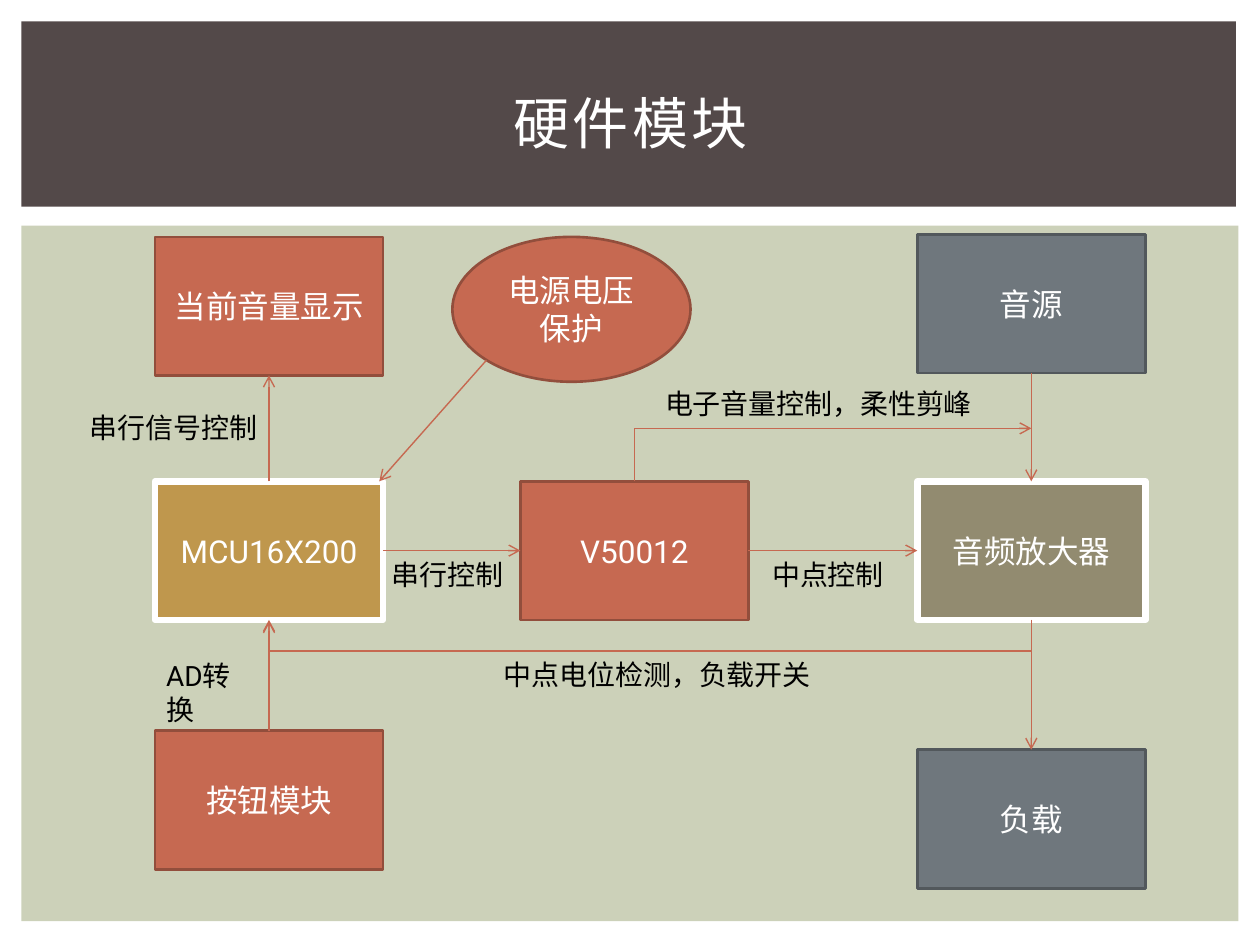
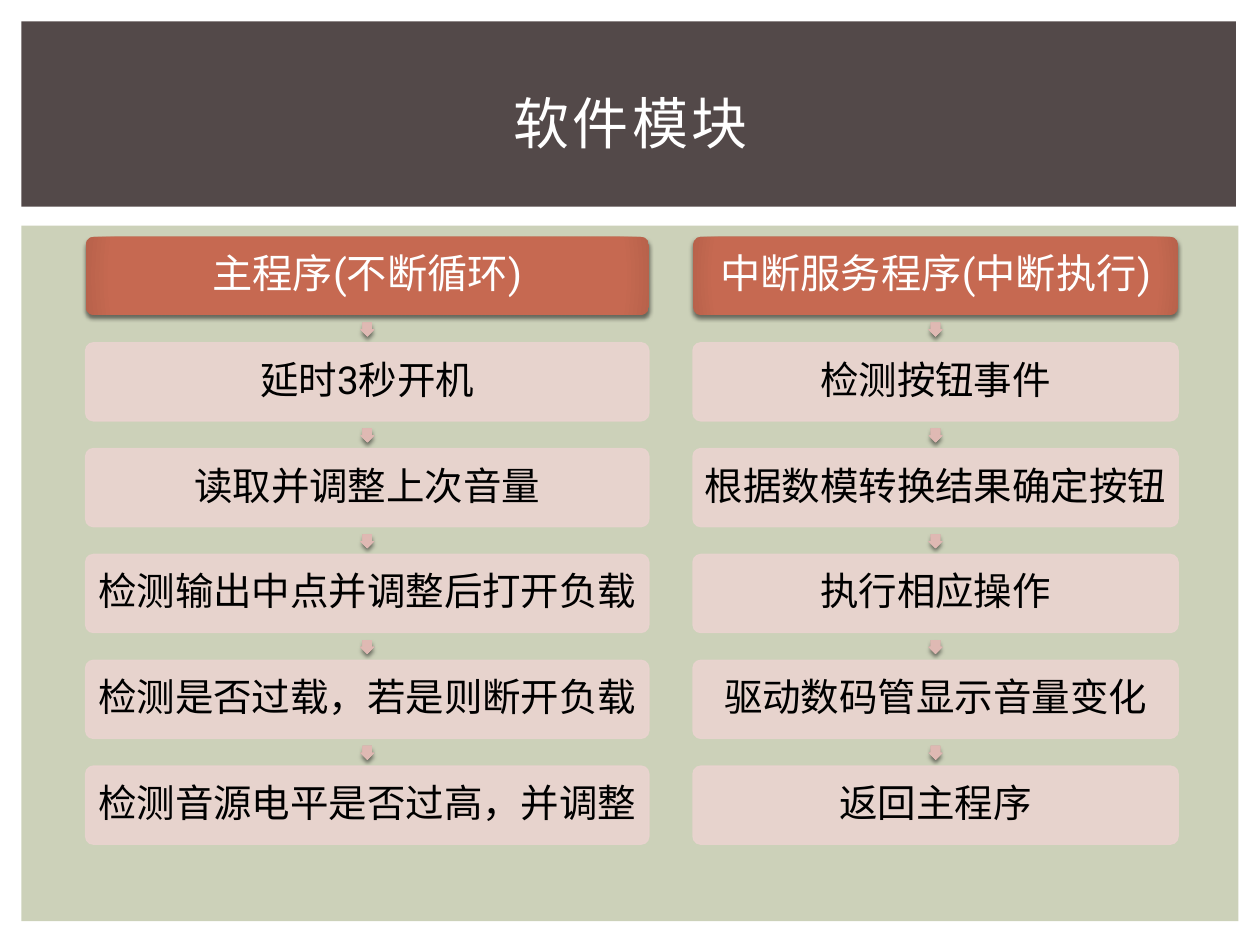
from lxml.etree import SubElement
from pptx import Presentation
from pptx.dml.color import RGBColor
from pptx.enum.shapes import MSO_CONNECTOR, MSO_SHAPE
from pptx.enum.text import MSO_ANCHOR, MSO_AUTO_SIZE, PP_ALIGN
from pptx.oxml import parse_xml
from pptx.oxml.ns import nsdecls, qn
from pptx.util import Inches, Pt

# Shared look
WHITE, BLACK = "FFFFFF", "000000"
TITLE_BAND, BODY_BAND = "534949", "CCD1B9"
RED, RED_EDGE, RED_RIM = "C66951", "924E3C", "B8624B"
GOLD, OLIVE = "BF974D", "928B70"
GREY, GREY_EDGE = "6F777D", "52585C"
STEP_FILL, MARKER, MARKER_RIM = "EAD4D0", "DFB9B3", "D0ACA7"
TITLE_FONT, BODY_FONT = "Lato", "Roboto"
LINE_WIDTH = 0.79
TITLE_ONLY = 5
TOP, BOTTOM, LEFT, RIGHT = 0, 2, 1, 3  # connection sites of a rectangle


def color(value):
    return RGBColor.from_string(value)


def write(shape, text, size, text_color, font=BODY_FONT, align=PP_ALIGN.CENTER):
    shape.text_frame.text = text
    paragraph = shape.text_frame.paragraphs[0]
    paragraph.alignment = align
    run_font = paragraph.runs[0].font
    run_font.size, run_font.name = Pt(size), font
    run_font.color.rgb = color(text_color)
    return paragraph


def add_block(slide, kind, box, fill, edge=None, edge_width=1.5):
    shape = slide.shapes.add_shape(kind, *map(Inches, box))
    shape.shadow.inherit = False
    shape.fill.solid()
    shape.fill.fore_color.rgb = color(fill)
    if edge:
        shape.line.color.rgb = color(edge)
        shape.line.width = Pt(edge_width)
    else:
        shape.line.fill.background()
    return shape


def add_bands(presentation, slide):
    """Draw the two bands and hand them to the slide master."""
    tree = presentation.slide_master.shapes.element
    bands = [((0.17, 1.79, 9.66, 5.52), BODY_BAND), ((0.17, 0.17, 9.64, 1.47), TITLE_BAND)]
    for index, (box, fill) in enumerate(bands):
        element = add_block(slide, MSO_SHAPE.RECTANGLE, box, fill).element
        element.nvSpPr.cNvPr.set("id", str(20 + index))
        tree.insert(2 + index, element)


def add_titled_slide(presentation, text):
    slide = presentation.slides.add_slide(presentation.slide_layouts[TITLE_ONLY])
    title = slide.shapes.title
    title.left, title.top, title.width, title.height = map(Inches, (0.42, 0.39, 9.17, 1.15))
    paragraph = write(title, text, 32, WHITE, TITLE_FONT)
    title.text_frame.vertical_anchor = MSO_ANCHOR.MIDDLE
    title.text_frame.auto_size = MSO_AUTO_SIZE.NONE
    paragraph.runs[0].font._element.set("spc", "200")
    return slide


# Connectors
def style_arrow(connector):
    connector.line.color.rgb = color(RED)
    connector.line.width = Pt(LINE_WIDTH)
    properties = connector.element.spPr
    SubElement(properties.find(qn("a:ln")), qn("a:tailEnd"), type="arrow")
    SubElement(properties, qn("a:effectLst"))


def add_arrow(slide, start, end):
    connector = slide.shapes.add_connector(MSO_CONNECTOR.STRAIGHT, *map(Inches, start + end))
    style_arrow(connector)
    return connector


def join(slide, source, source_site, target, target_site):
    connector = add_arrow(slide, (0, 0), (1, 1))
    connector.begin_connect(source, source_site)
    connector.end_connect(target, target_site)


def add_elbow(slide, start, end, source, source_site, target=None, target_site=None, drop=None):
    """Bent arrow that leaves vertically; drop is the depth of its middle run."""
    connector = slide.shapes.add_connector(MSO_CONNECTOR.ELBOW, *map(Inches, start + end))
    connector.begin_connect(source, source_site)
    if target is not None:
        connector.end_connect(target, target_site)
    across, down = end[0] - start[0], end[1] - start[1]
    width, height = abs(down), abs(across)
    connector.left = Inches((start[0] + end[0] - width) / 2)
    connector.top = Inches((start[1] + end[1] - height) / 2)
    connector.width, connector.height = Inches(width), Inches(height)
    frame = connector.element.spPr.find(qn("a:xfrm"))
    frame.set("rot", "5400000")
    frame.set("flipH", str(int(down < 0)))
    frame.set("flipV", str(int(across > 0)))
    geometry = connector.element.spPr.find(qn("a:prstGeom"))
    if drop is None:
        geometry.set("prst", "bentConnector2")
    else:
        guides = geometry.find(qn("a:avLst"))
        if guides is None:
            guides = SubElement(geometry, qn("a:avLst"))
        SubElement(guides, qn("a:gd"), name="adj1", fmla=f"val {round(drop / down * 100000)}")
    style_arrow(connector)


# Hardware slide
def add_label(slide, text, left, top, width, align=PP_ALIGN.LEFT):
    label = slide.shapes.add_textbox(*map(Inches, (left, top, width, 0.37)))
    label.text_frame.word_wrap = True
    write(label, text, 16, BLACK, align=align)


def add_hardware_diagram(slide, left, top):
    columns = [left, left + 2.9, left + 6.05]
    middle = top + 1.96
    block_width, block_height = 1.81, 1.1

    def module(text, column, y, fill, edge, edge_width=1.5):
        box = (columns[column], y, block_width, block_height)
        shape = add_block(slide, MSO_SHAPE.RECTANGLE, box, fill, edge, edge_width)
        write(shape, text, 18, WHITE)
        return shape

    controller = module("MCU16X200", 0, middle, GOLD, WHITE, 3.75)
    volume_chip = module("V50012", 1, middle, RED, RED_EDGE)
    amplifier = module("音频放大器", 2, middle, OLIVE, WHITE, 3.75)
    source = module("音源", 2, top, GREY, GREY_EDGE)
    load = module("负载", 2, top + 4.09, GREY, GREY_EDGE)
    display = module("当前音量显示", 0, top + 0.02, RED, RED_EDGE)
    buttons = module("按钮模块", 0, top + 3.94, RED, RED_EDGE)
    protection = add_block(slide, MSO_SHAPE.OVAL, (left + 2.36, top + 0.02, 1.89, 1.15), RED, RED_EDGE)
    write(protection, "电源电压保护", 18, WHITE)

    # Signal paths
    for start, start_site, end, end_site in [
        (source, BOTTOM, amplifier, TOP),
        (amplifier, BOTTOM, load, TOP),
        (controller, TOP, display, BOTTOM),
        (buttons, TOP, controller, BOTTOM),
        (controller, RIGHT, volume_chip, LEFT),
        (volume_chip, RIGHT, amplifier, LEFT),
    ]:
        join(slide, start, start_site, end, end_site)
    add_arrow(slide, (left + 2.63, top + 1.0), (left + 1.78, middle))
    centers = [x + block_width / 2 for x in columns]
    bottom = middle + block_height
    add_elbow(slide, (centers[1], middle), (centers[2], middle - 0.42), volume_chip, TOP)
    add_elbow(slide, (centers[2], bottom), (centers[0], bottom + 0.01),
              amplifier, BOTTOM, controller, BOTTOM, drop=0.25)

    # Signal names
    add_label(slide, "串行信号控制", left - 0.64, top + 1.35, 1.55, PP_ALIGN.RIGHT)
    for text, x, y, width in [
        ("AD转换", -0.01, 3.32, 0.92),
        ("串行控制", 1.78, 2.52, 1.11),
        ("中点电位检测，负载开关", 2.67, 3.31, 2.67),
        ("中点控制", 4.8, 2.52, 1.11),
        ("电子音量控制，柔性剪峰", 3.95, 1.16, 2.67),
    ]:
        add_label(slide, text, left + x, top + y, width)


# Software slide
def add_glow(shape, center, rim):
    """Fill with a round gradient and add a soft shadow below."""
    stops = "".join(f'<a:gs pos="{position}"><a:srgbClr val="{value}"/></a:gs>'
                    for position, value in [(0, center), (90000, center), (100000, rim)])
    properties = shape.element.spPr
    properties.replace(properties.find(qn("a:solidFill")), parse_xml(
        f'<a:gradFill {nsdecls("a")} rotWithShape="1"><a:gsLst>{stops}</a:gsLst>'
        '<a:path path="circle"><a:fillToRect l="100000" t="100000" r="100000" b="100000"/>'
        '</a:path></a:gradFill>'))
    properties.find(qn("a:effectLst")).append(parse_xml(
        f'<a:outerShdw {nsdecls("a")} blurRad="{Pt(2.5)}" dist="{Pt(2)}" dir="5400000" '
        'rotWithShape="0"><a:srgbClr val="000000"><a:alpha val="50000"/></a:srgbClr></a:outerShdw>'))


def add_step(slide, text, box, is_header):
    if is_header:
        shape = add_block(slide, MSO_SHAPE.ROUNDED_RECTANGLE, box, RED)
        add_glow(shape, RED, RED_RIM)
    else:
        shape = add_block(slide, MSO_SHAPE.ROUNDED_RECTANGLE, box, STEP_FILL, STEP_FILL, LINE_WIDTH)
        for tint in shape.element.spPr.iter(qn("a:srgbClr")):
            SubElement(tint, qn("a:alpha"), val="90000")
    shape.adjustments[0] = 0.1
    frame = shape.text_frame
    frame.margin_left = frame.margin_right = frame.margin_top = frame.margin_bottom = Inches(0.03)
    paragraph = write(shape, text, 23 if is_header else 22, WHITE if is_header else BLACK)
    paragraph.line_spacing = 0.9


def add_marker(slide, center, top):
    size = 0.11
    marker = add_block(slide, MSO_SHAPE.RIGHT_ARROW, (center - size / 2, top, size, size), MARKER)
    marker.rotation = 90
    marker.adjustments[0], marker.adjustments[1] = 0.667, 0.5
    add_glow(marker, MARKER, MARKER_RIM)


def add_flow(slide, left, top, width, steps):
    height, pitch = 0.62, 0.84
    for index, text in enumerate(steps):
        step_top = top + index * pitch
        add_step(slide, text, (left, step_top, width, height), index == 0)
        if index < len(steps) - 1:
            add_marker(slide, left + width / 2, step_top + height + 0.06)


def main():
    presentation = Presentation()
    presentation.slide_width, presentation.slide_height = Inches(10), Inches(7.5)

    hardware = add_titled_slide(presentation, "硬件模块")
    add_bands(presentation, hardware)
    add_hardware_diagram(hardware, 1.23, 1.86)

    software = add_titled_slide(presentation, "软件模块")
    add_flow(software, 0.68, 1.88, 4.47, [
        "主程序(不断循环)", "延时3秒开机", "读取并调整上次音量",
        "检测输出中点并调整后打开负载", "检测是否过载，若是则断开负载", "检测音源电平是否过高，并调整"])
    add_flow(software, 5.5, 1.88, 3.85, [
        "中断服务程序(中断执行)", "检测按钮事件", "根据数模转换结果确定按钮",
        "执行相应操作", "驱动数码管显示音量变化", "返回主程序"])
    presentation.save("out.pptx")


if __name__ == "__main__":
    main()
